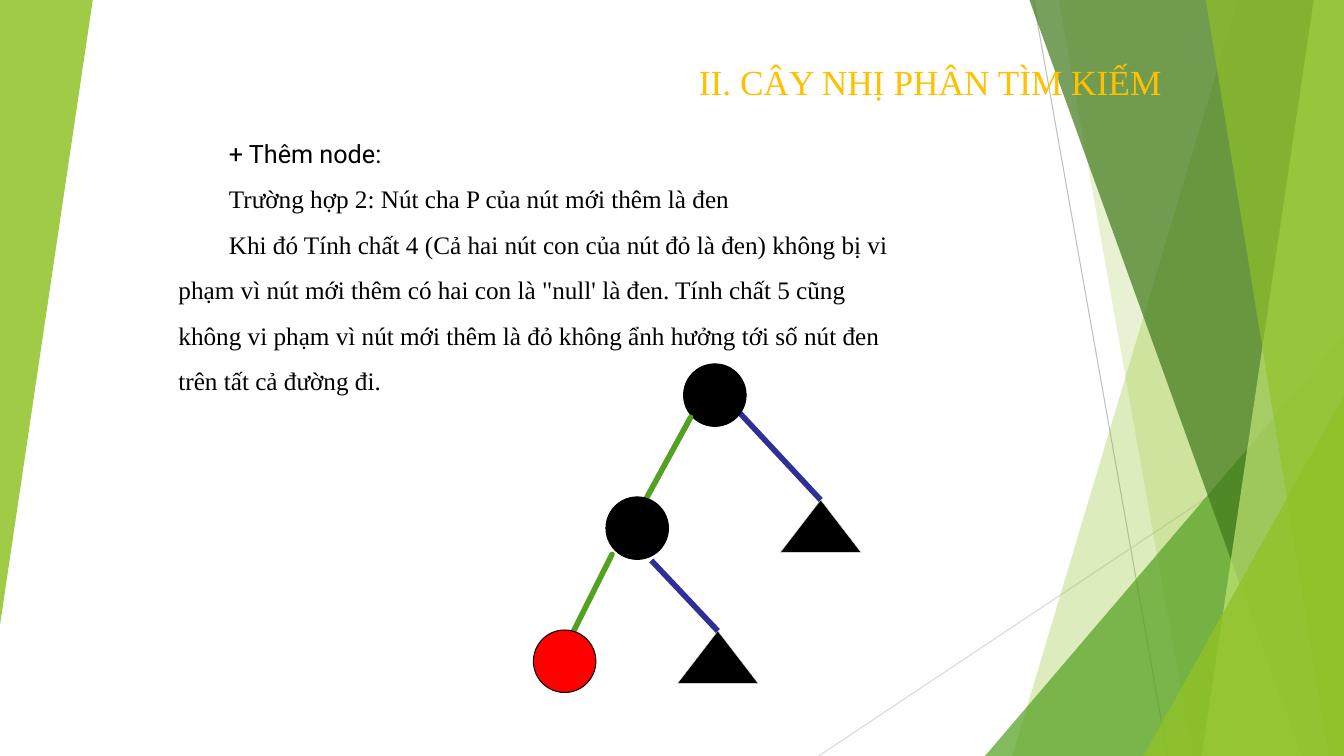
from lxml import etree
from pptx import Presentation
from pptx.dml.color import RGBColor
from pptx.enum.shapes import MSO_CONNECTOR, MSO_SHAPE
from pptx.enum.text import MSO_ANCHOR, MSO_AUTO_SIZE, PP_ALIGN
from pptx.oxml.ns import qn
from pptx.util import Inches, Pt

STRAIGHT = MSO_CONNECTOR.STRAIGHT
OVAL, TRIANGLE = MSO_SHAPE.OVAL, MSO_SHAPE.ISOSCELES_TRIANGLE
BOTTOM, TOP = MSO_ANCHOR.BOTTOM, MSO_ANCHOR.TOP
LEFT, RIGHT = PP_ALIGN.LEFT, PP_ALIGN.RIGHT
NO_FIT = MSO_AUTO_SIZE.NONE

BLACK = RGBColor(0x00, 0x00, 0x00)
RED = RGBColor(0xFF, 0x00, 0x00)
GOLD = RGBColor(0xFF, 0xC0, 0x00)
BLUE = RGBColor(0x2F, 0x2F, 0x98)
LIME = RGBColor(0x90, 0xC2, 0x26)
PALE_LIME = RGBColor(0xC0, 0xE4, 0x74)
GREEN = RGBColor(0x54, 0xA0, 0x21)
DARK_GREEN = RGBColor(0x3F, 0x78, 0x19)
GRAY = RGBColor(0xBF, 0xBF, 0xBF)
LIGHT_GRAY = RGBColor(0xD9, 0xD9, 0xD9)
OFF_WHITE = RGBColor(0xEB, 0xEB, 0xEB)

SERIF, SANS = "Times New Roman", "Roboto"
WIDTH, HEIGHT = 13.33, 7.5
NODE = 0.62
LEAF_W, LEAF_H = 0.8, 0.52

BODY = [  # text, font, first-line indent in inches
    ("+ Thêm node:", SANS, 0.5),
    ("Trường hợp 2: Nút cha P của nút mới thêm là đen", SERIF, 0.5),
    ("Khi đó Tính chất 4 (Cả hai nút con của nút đỏ là đen) không bị vi", SERIF, 0.5),
    ("phạm vì nút mới thêm có hai con là \"null' là đen. Tính chất 5 cũng", SERIF, 0),
    ("không vi phạm vì nút mới thêm là đỏ không ẩnh hưởng tới số nút đen", SERIF, 0),
    ("trên tất cả đường đi.", SERIF, 0),
]


def paint(s, color, opacity=100, outline=None, weight=0.75):
    s.shadow.inherit = False
    s.fill.solid()
    s.fill.fore_color.rgb = color
    if opacity < 100:
        clr = s._element.spPr.find(qn("a:solidFill")).find(qn("a:srgbClr"))
        etree.SubElement(clr, qn("a:alpha")).set("val", str(opacity * 1000))
    if outline is None:
        s.line.fill.background()
    else:
        s.line.color.rgb = outline
        s.line.width = Pt(weight)


def add_preset(slide, kind, x, y, w, h):
    return slide.shapes.add_shape(kind, Inches(x), Inches(y), Inches(w), Inches(h))


def add_line(slide, start, end, color, weight, cap="flat"):
    c = slide.shapes.add_connector(STRAIGHT, *(Inches(v) for v in (*start, *end)))
    c.line.color.rgb = color
    c.line.width = Pt(weight)
    spPr = c._element.spPr
    spPr.find(qn("a:ln")).set("cap", cap)
    etree.SubElement(spPr, qn("a:effectLst"))
    return c


def add_band(slide, top_x, bottom_x, color, opacity):
    """Full-height band from a slanted left edge to the slide's right edge."""
    builder = slide.shapes.build_freeform(Inches(top_x), 0)
    corners = [(WIDTH, 0), (WIDTH, HEIGHT), (bottom_x, HEIGHT)]
    builder.add_line_segments([(Inches(x), Inches(y)) for x, y in corners])
    paint(builder.convert_to_shape(), color, opacity)


def add_corner(slide, x, y, w, h, color, opacity, rotation=0):
    """Right-angled triangle, upright side on the right before rotation."""
    s = add_preset(slide, TRIANGLE, x, y, w, h)
    s.adjustments[0] = 1
    s.rotation = rotation
    paint(s, color, opacity)


def add_backdrop(slide):
    add_line(slide, (10.25, 0), (11.58, HEIGHT), GRAY, 0.75)
    add_line(slide, (WIDTH, 4.03), (8.12, HEIGHT), LIGHT_GRAY, 0.75)
    add_band(slide, 12.28, 10.04, LIME, 30)
    add_band(slide, 10.5, 11.83, LIME, 20)
    add_corner(slide, 9.77, 3.33, 3.56, 4.17, GREEN, 72)
    add_band(slide, 10.21, 12.91, DARK_GREEN, 70)
    add_band(slide, 13.03, 11.92, PALE_LIME, 70)
    add_band(slide, 11.96, 13.18, LIME, 65)
    add_corner(slide, 11.34, 3.93, 1.99, 3.57, LIME, 80)
    add_corner(slide, 0, 0, 0.92, 6.2, LIME, 85, rotation=180)


def place(slide, sp, x, y, w, h, anchor):
    """Set the placeholder's box and bring it in front of the backdrop."""
    sp.left, sp.top, sp.width, sp.height = (Inches(v) for v in (x, y, w, h))
    slide.shapes._spTree.append(sp._element)
    tf = sp.text_frame
    tf.word_wrap = True
    tf.auto_size = NO_FIT
    tf.vertical_anchor = anchor
    return tf


def style(p, font, size, color, align):
    p.alignment = align
    r = p.runs[0]
    r.font.name, r.font.size = font, Pt(size)
    r.font.color.rgb = color


def add_title(slide, x, y, w, h):
    tf = place(slide, slide.shapes.title, x, y, w, h, BOTTOM)
    tf.text = "II. CÂY NHỊ PHÂN TÌM KIẾM"
    style(tf.paragraphs[0], SERIF, 25.2, GOLD, RIGHT)


def add_body(slide, x, y, w, h):
    tf = place(slide, slide.placeholders[1], x, y, w, h, TOP)
    tf.text = "\n".join(text for text, _, _ in BODY)
    for p, (_, font, indent) in zip(tf.paragraphs, BODY):
        style(p, font, 18, BLACK, LEFT)
        p.space_before = Pt(10)
        p.line_spacing = 1.04
        pPr = p._p.get_or_add_pPr()
        pPr.set("marL", "0")
        pPr.set("indent", str(Inches(indent)))


def add_node(slide, x, y, color):
    paint(add_preset(slide, OVAL, x, y, NODE, NODE), color, outline=BLACK)


def add_leaf(slide, x, y, parent_point):
    """Black null leaf, joined at its tip to a point on its parent."""
    leaf = add_preset(slide, TRIANGLE, x, y, LEAF_W, LEAF_H)
    paint(leaf, BLACK, outline=OFF_WHITE, weight=0.25)
    edge = add_line(slide, parent_point, (x + LEAF_W / 2, y), BLUE, 4)
    edge.end_connect(leaf, 0)


def add_tree(slide, x, y):
    def at(dx, dy):
        return x + dx, y + dy

    add_leaf(slide, *at(2.45, 1.35), at(2.04, 0.48))
    add_leaf(slide, *at(1.43, 2.65), at(1.17, 1.95))
    add_line(slide, at(0.78, 1.89), at(0.39, 2.67), GREEN, 4, "rnd")
    add_node(slide, *at(1.49, 0), BLACK)
    add_line(slide, at(1.56, 0.53), at(1.03, 1.5), GREEN, 4, "rnd")
    add_node(slide, *at(0.72, 1.32), BLACK)
    add_node(slide, *at(0, 2.64), RED)


def main():
    prs = Presentation()
    prs.slide_width, prs.slide_height = Inches(WIDTH), Inches(HEIGHT)
    slide = prs.slides.add_slide(prs.slide_layouts[0])
    add_backdrop(slide)
    add_title(slide, 1.62, 0.58, 10, 0.49)
    add_body(slide, 1.67, 1.31, 10, 5.73)
    add_tree(slide, 5.29, 3.61)
    prs.save("out.pptx")


if __name__ == "__main__":
    main()
